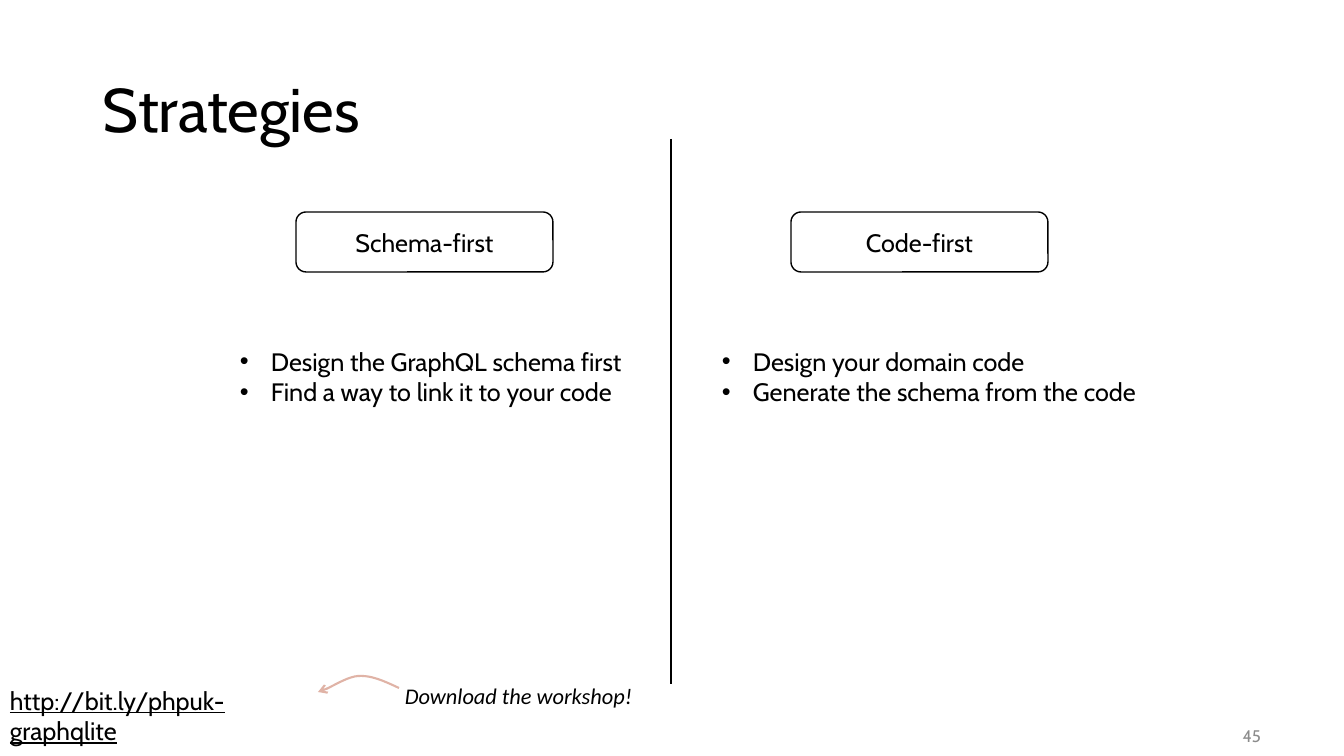
from lxml.etree import SubElement
from pptx import Presentation
from pptx.dml.color import RGBColor
from pptx.enum.shapes import MSO_CONNECTOR as Connector, MSO_SHAPE as Shape
from pptx.enum.text import MSO_ANCHOR as Anchor, PP_ALIGN as Align
from pptx.oxml.ns import qn
from pptx.util import Pt

TITLE = "Strategies"
STRATEGIES = [
    {"name": "Schema-first", "box_left": 296, "list_left": 230, "list_width": 407,
     "points": ["Design the GraphQL schema first", "Find a way to link it to your code"]},
    {"name": "Code-first", "box_left": 791, "list_left": 712, "list_width": 438,
     "points": ["Design your domain code", "Generate the schema from the code"]},
]
LINK = "http://bit.ly/phpuk-graphqlite"
INVITATION = "Download the workshop!"
PAGE_NUMBER = "45"

BLACK, WHITE, GREY, PINK = "000000", "FFFFFF", "8C8C8C", "E0B3A6"
ARROW_START = (399, 688)
ARROW_CURVES = [
    [(386, 682), (372, 675), (358, 676)],
    [(345, 677), (328, 690), (318, 692)],
]
CURVE_STEPS = 12
BULLET_INDENT = 31
SCALE = 12192000 / 1344


def px(length):
    return round(length * SCALE)


def color(value):
    return RGBColor.from_string(value)


def style_line(shape, value, width):
    shape.line.color.rgb = color(value)
    shape.line.width = Pt(width)


def add_bullet(paragraph):
    properties = paragraph._p.get_or_add_pPr()
    properties.set("marL", str(px(BULLET_INDENT)))
    properties.set("indent", str(-px(BULLET_INDENT)))
    SubElement(properties, qn("a:buFont")).set("typeface", "Arial")
    SubElement(properties, qn("a:buChar")).set("char", "•")


def write(shape, lines, size=18, name="Cabin", value=BLACK, align=Align.LEFT,
          anchor=Anchor.TOP, bullets=False):
    frame = shape.text_frame
    frame.word_wrap = True
    frame.vertical_anchor = anchor
    frame.text = "\n".join(lines)
    for paragraph in frame.paragraphs:
        if bullets:
            add_bullet(paragraph)
        paragraph.alignment = align
        paragraph.font.size = Pt(size)
        paragraph.font.name = name
        paragraph.font.color.rgb = color(value)
    return frame.paragraphs[0]


def add_text(slide, left, top, width, height, lines, **style):
    box = slide.shapes.add_textbox(px(left), px(top), px(width), px(height))
    return write(box, lines, **style)


def curve_points(start, curves):
    points = []
    for first, second, end in curves:
        for step in range(1, CURVE_STEPS + 1):
            t = step / CURVE_STEPS
            weights = ((1 - t) ** 3, 3 * t * (1 - t) ** 2, 3 * t ** 2 * (1 - t), t ** 3)
            corners = (start, first, second, end)
            points.append(tuple(px(sum(w * corner[axis] for w, corner in zip(weights, corners)))
                                for axis in (0, 1)))
        start = end
    return points


def add_arrow(slide):
    builder = slide.shapes.build_freeform(px(ARROW_START[0]), px(ARROW_START[1]))
    builder.add_line_segments(curve_points(ARROW_START, ARROW_CURVES), close=False)
    arrow = builder.convert_to_shape()
    arrow.shadow.inherit = False
    arrow.fill.background()
    style_line(arrow, PINK, 1.5)
    SubElement(arrow.line._get_or_add_ln(), qn("a:tailEnd")).set("type", "arrow")


def add_divider(slide):
    divider = slide.shapes.add_connector(Connector.STRAIGHT, px(671), px(139), px(671), px(684))
    style_line(divider, BLACK, 1.5)
    SubElement(divider._element.spPr, qn("a:effectLst"))


def add_strategy(slide, strategy):
    box = slide.shapes.add_shape(Shape.ROUNDED_RECTANGLE, px(strategy["box_left"]), px(212),
                                 px(257), px(60))
    box.shadow.inherit = False
    box.fill.solid()
    box.fill.fore_color.rgb = color(WHITE)
    style_line(box, BLACK, 1)
    write(box, [strategy["name"]], align=Align.CENTER, anchor=Anchor.MIDDLE)
    add_text(slide, strategy["list_left"], 341, strategy["list_width"], 71,
             strategy["points"], bullets=True)


def main():
    presentation = Presentation()
    presentation.slide_width, presentation.slide_height = px(1344), px(756)
    slide = presentation.slides.add_slide(presentation.slide_layouts[6])

    link = add_text(slide, 0, 680, 336, 70, [LINK])
    link.font.underline = True
    add_arrow(slide)
    invitation = add_text(slide, 395, 677, 251, 37, [INVITATION], size=16, name="Calibri")
    invitation.font.italic = True

    title = add_text(slide, 93, 40, 1159, 146, [TITLE], size=44, anchor=Anchor.MIDDLE)
    title.line_spacing = 0.9
    add_divider(slide)
    for strategy in STRATEGIES:
        add_strategy(slide, strategy)
    add_text(slide, 969, 716, 302, 40, [PAGE_NUMBER], size=12, value=GREY,
             align=Align.RIGHT, anchor=Anchor.MIDDLE)
    presentation.save("out.pptx")


if __name__ == "__main__":
    main()
